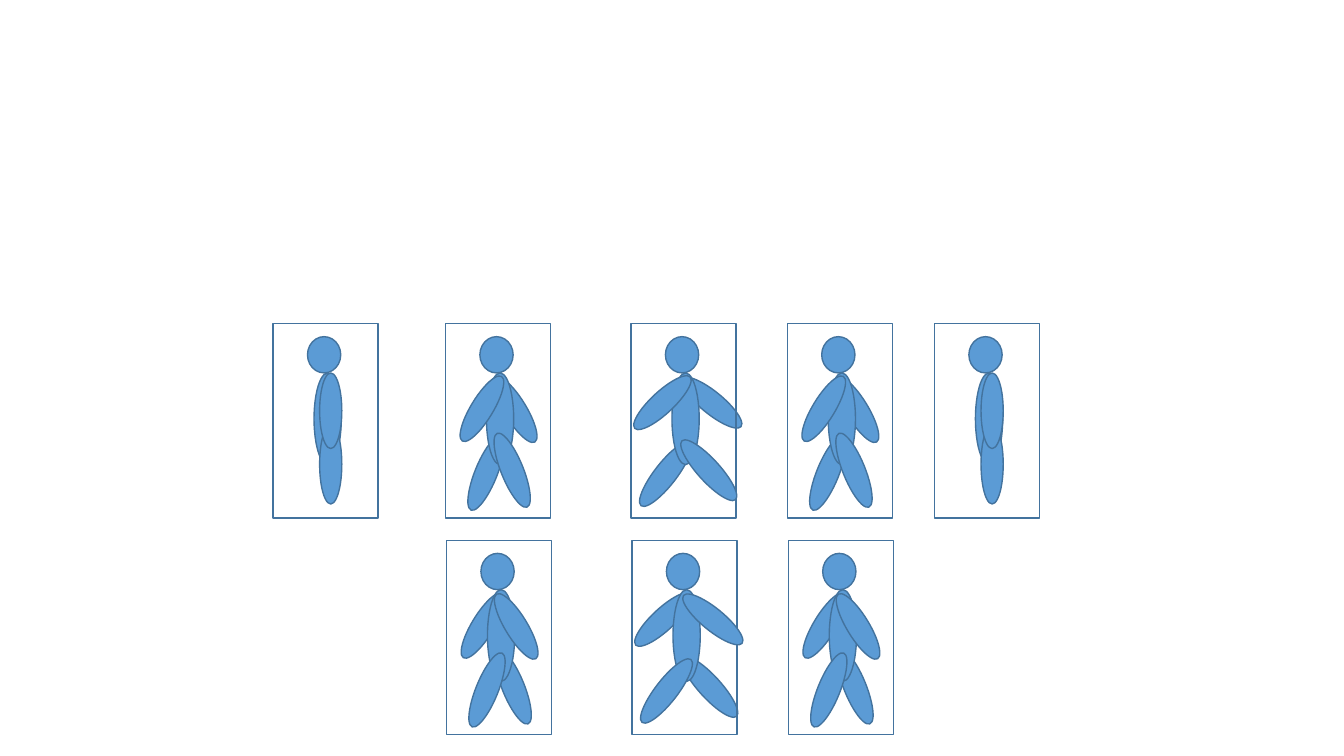
from pptx import Presentation
from pptx.dml.color import RGBColor
from pptx.enum.shapes import MSO_SHAPE
from pptx.util import Inches, Pt

RECT, OVAL = MSO_SHAPE.RECTANGLE, MSO_SHAPE.OVAL
BLUE, EDGE = "5B9BD5", "43739E"
WIDE, HIGH = 13.33, 7.5
COLS, ROWS = 104, 193  # grid of one frame
BOX_W, BOX_H = 1.04, 1.93
XS = [2.71, 4.42, 6.26, 7.81, 9.27]
TOP, LOW, SHIFT = 3.21, 5.36, 0.01

# Parts in frame grid units: column, row, columns, rows, turn
HEAD = (34, 13, 33, 36, 0)
BODY = (40.5, 49, 27, 91, 0)
ARM, LEG = (22, 75), (22, 79)
STAND = {"leg": (46, 100, *LEG, 0), "arm": (46, 49, *ARM, 0)}
STEP = {
    "left arm": (25, 47, *ARM, 31.3),
    "right arm": (58, 48, *ARM, 328.7),
    "left leg": (29, 109, *LEG, 22),
    "right leg": (55, 106, *LEG, 338),
}
STRIDE = {
    "left arm": (20, 41, *ARM, 47.2),
    "right arm": (69, 41, *ARM, 309.3),
    "left leg": (23, 110, *LEG, 37.8),
    "right leg": (66, 106, *LEG, 317.7),
}
# Limbs behind and in front of the body
STILL = ([], ["leg", "arm"])
FIRST = (["right arm", "left leg"], ["right leg", "left arm"])
OTHER = (["right leg", "left arm"], ["right arm", "left leg"])


def tint(code):
    """Turn a hex string into a colour."""
    return RGBColor.from_string(code)


def draw(slide, kind, box, part, fill=BLUE):
    """Draw a part given in grid units of the box."""
    left, top, wide, high = box
    col, row, cols, rows, turn = part
    unit_x, unit_y = wide / COLS, high / ROWS
    shape = slide.shapes.add_shape(
        kind, Inches(left + col * unit_x), Inches(top + row * unit_y),
        Inches(cols * unit_x), Inches(rows * unit_y))
    shape.rotation = turn
    shape.shadow.inherit = False
    if fill:
        shape.fill.solid()
        shape.fill.fore_color.rgb = tint(fill)
    else:
        shape.fill.background()
    shape.line.color.rgb = tint(EDGE)
    shape.line.width = Pt(1)


def walker(slide, box, pose, order):
    """Draw one framed figure in a pose, limbs layered by order."""
    back, front = order
    for limb in back:
        draw(slide, OVAL, box, pose[limb])
    draw(slide, RECT, box, (0, 0, COLS, ROWS, 0), fill=None)
    for part in [HEAD, BODY] + [pose[limb] for limb in front]:
        draw(slide, OVAL, box, part)


def strip(slide, xs, top, cells):
    """Draw a row of figures, one for each pose and order."""
    for left, (pose, order) in zip(xs, cells):
        walker(slide, (left, top, BOX_W, BOX_H), pose, order)


deck = Presentation()
deck.slide_width, deck.slide_height = Inches(WIDE), Inches(HIGH)
page = deck.slides.add_slide(deck.slide_layouts[6])
poses = [STEP, STRIDE, STEP]
still = (STAND, STILL)
strip(page, XS, TOP, [still, *((pose, FIRST) for pose in poses), still])
strip(page, [x + SHIFT for x in XS[1:4]], LOW, [(pose, OTHER) for pose in poses])
deck.save("out.pptx")
